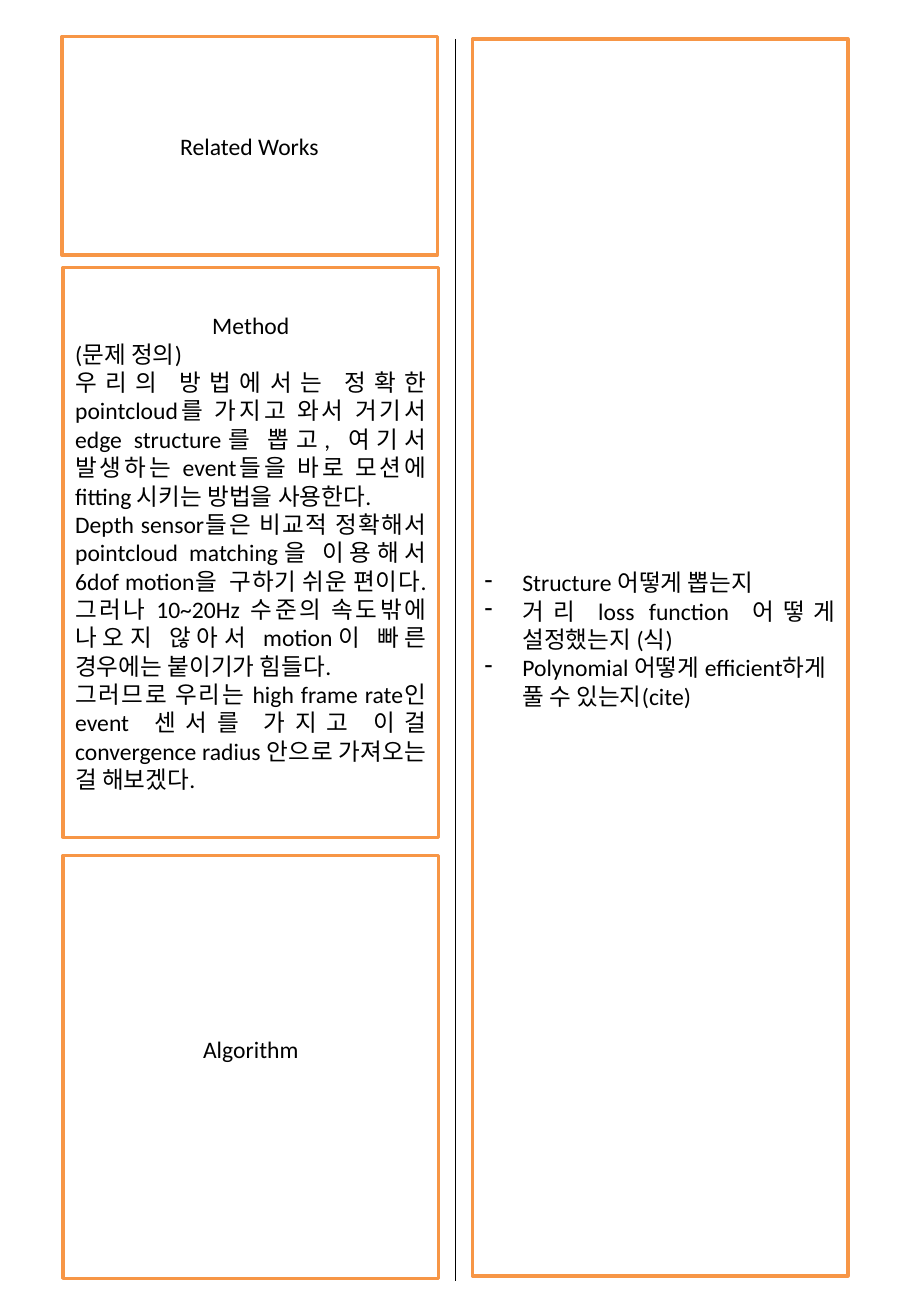
from dataclasses import dataclass

from lxml import etree
from pptx import Presentation
from pptx.dml.color import RGBColor
from pptx.enum.shapes import MSO_CONNECTOR, MSO_SHAPE
from pptx.enum.text import MSO_ANCHOR, MSO_AUTO_SIZE, PP_ALIGN
from pptx.oxml.ns import qn
from pptx.util import Inches, Pt

RECTANGLE = MSO_SHAPE.RECTANGLE
STRAIGHT = MSO_CONNECTOR.STRAIGHT
LEFT, CENTER, JUSTIFY = PP_ALIGN.LEFT, PP_ALIGN.CENTER, PP_ALIGN.JUSTIFY
MIDDLE = MSO_ANCHOR.MIDDLE
FIXED_SIZE = MSO_AUTO_SIZE.NONE

# Content: (text, alignment) for each paragraph
RELATED_WORKS = [("Related Works", CENTER)]
METHOD = [
    ("Method", CENTER),
    ("(문제 정의)", JUSTIFY),
    ("우리의 방법에서는 정확한 pointcloud를 가지고 와서 거기서 edge structure를 뽑고, "
     "여기서 발생하는 event들을 바로 모션에 fitting 시키는 방법을 사용한다.", JUSTIFY),
    ("Depth sensor들은 비교적 정확해서 pointcloud matching을 이용해서 6dof motion을  "
     "구하기 쉬운 편이다. 그러나 10~20Hz 수준의 속도밖에 나오지 않아서 motion이 "
     "빠른 경우에는 붙이기가 힘들다.", JUSTIFY),
    ("그러므로 우리는 high frame rate인 event 센서를 가지고 이걸 convergence radius "
     "안으로 가져오는 걸 해보겠다.", JUSTIFY),
]
ALGORITHM = [("Algorithm", CENTER)]
DETAILS = [
    ("Structure 어떻게 뽑는지", JUSTIFY),
    ("거리 loss function 어떻게 설정했는지 (식)", JUSTIFY),
    ("Polynomial 어떻게 efficient하게 풀 수 있는지(cite)", LEFT),
]


@dataclass(frozen=True)
class Theme:
    font: str = "Calibri"
    size: Pt = Pt(14)
    ink: RGBColor = RGBColor(0x00, 0x00, 0x00)
    paper: RGBColor = RGBColor(0xFF, 0xFF, 0xFF)
    accent: RGBColor = RGBColor(0xF7, 0x96, 0x46)
    border: Pt = Pt(2)
    divider: Pt = Pt(0.75)


THEME = Theme()

# Layout in inches
PAGE_WIDTH, PAGE_HEIGHT = 7.5, 10.83
COLUMN_WIDTH = 3.09
LEFT_COLUMN, RIGHT_COLUMN = 0.52, 3.89
DIVIDER_TOP, DIVIDER_BOTTOM = 0.32, 10.54
PAD_X, PAD_Y = 0.1, 0.05
RAISE = 0.3  # extra bottom padding that lifts centred text
BULLET_INDENT = 0.31


def add_dash(paragraph):
    """Give a paragraph a hanging dash."""
    props = paragraph._p.get_or_add_pPr()
    props.set("marL", str(Inches(BULLET_INDENT)))
    props.set("indent", str(-Inches(BULLET_INDENT)))
    etree.SubElement(props, qn("a:buFontTx"))
    etree.SubElement(props, qn("a:buChar"), char="-")


def fill_panel(panel, paragraphs, left, top, height, raised=False, dashed=False):
    """Place, outline and write one panel."""
    panel.left, panel.top = Inches(left), Inches(top)
    panel.width, panel.height = Inches(COLUMN_WIDTH), Inches(height)
    panel.fill.solid()
    panel.fill.fore_color.rgb = THEME.paper
    panel.line.color.rgb = THEME.accent
    panel.line.width = THEME.border

    frame = panel.text_frame
    frame.word_wrap = True
    frame.auto_size = FIXED_SIZE
    frame.vertical_anchor = MIDDLE
    frame.margin_left = frame.margin_right = Inches(PAD_X)
    frame.margin_top = Inches(PAD_Y)
    frame.margin_bottom = Inches(PAD_Y + (RAISE if raised else 0))
    for index, (text, alignment) in enumerate(paragraphs):
        paragraph = frame.add_paragraph() if index else frame.paragraphs[0]
        paragraph.alignment = alignment
        paragraph.space_before = Pt(0)
        if dashed:
            add_dash(paragraph)
        run = paragraph.add_run()
        run.text = text
        run.font.name = THEME.font
        run.font.size = THEME.size
        run.font.color.rgb = THEME.ink


def add_panel(slide):
    panel = slide.shapes.add_shape(RECTANGLE, 0, 0, 0, 0)
    panel.shadow.inherit = False
    return panel


deck = Presentation()
deck.slide_width, deck.slide_height = Inches(PAGE_WIDTH), Inches(PAGE_HEIGHT)
slide = deck.slides.add_slide(deck.slide_layouts[1])

# Divider between the columns
divider = slide.shapes.add_connector(
    STRAIGHT, Inches(PAGE_WIDTH / 2), Inches(DIVIDER_TOP),
    Inches(PAGE_WIDTH / 2), Inches(DIVIDER_BOTTOM))
divider.line.color.rgb = THEME.ink
divider.line.width = THEME.divider
etree.SubElement(divider._element.spPr, qn("a:effectLst"))

# Left column
fill_panel(slide.shapes.title, RELATED_WORKS, LEFT_COLUMN - 0.01, 0.3, 1.8)
fill_panel(add_panel(slide), METHOD, LEFT_COLUMN, 2.2, 4.69)
fill_panel(add_panel(slide), ALGORITHM, LEFT_COLUMN, 7.04, 3.48, raised=True)

# Right column
fill_panel(slide.placeholders[1], DETAILS, RIGHT_COLUMN, 0.32, 10.18,
           raised=True, dashed=True)

deck.save("out.pptx")
